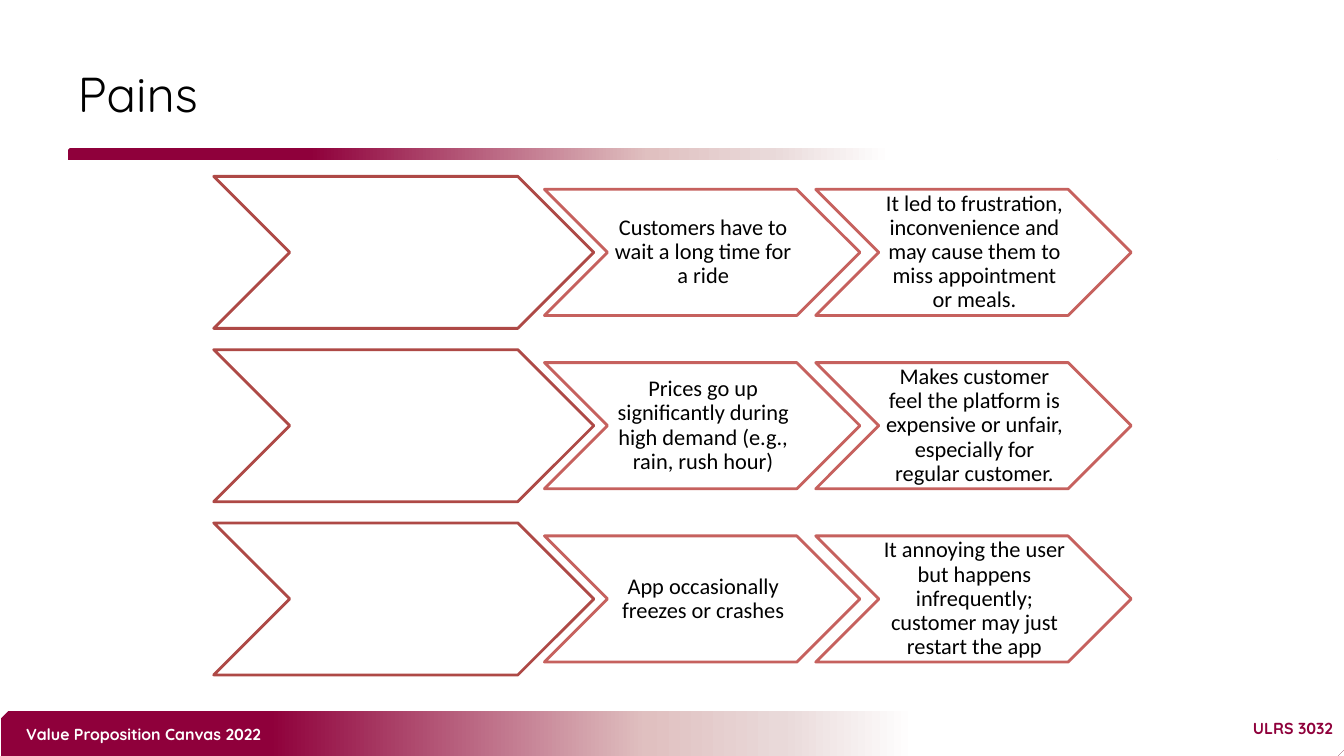
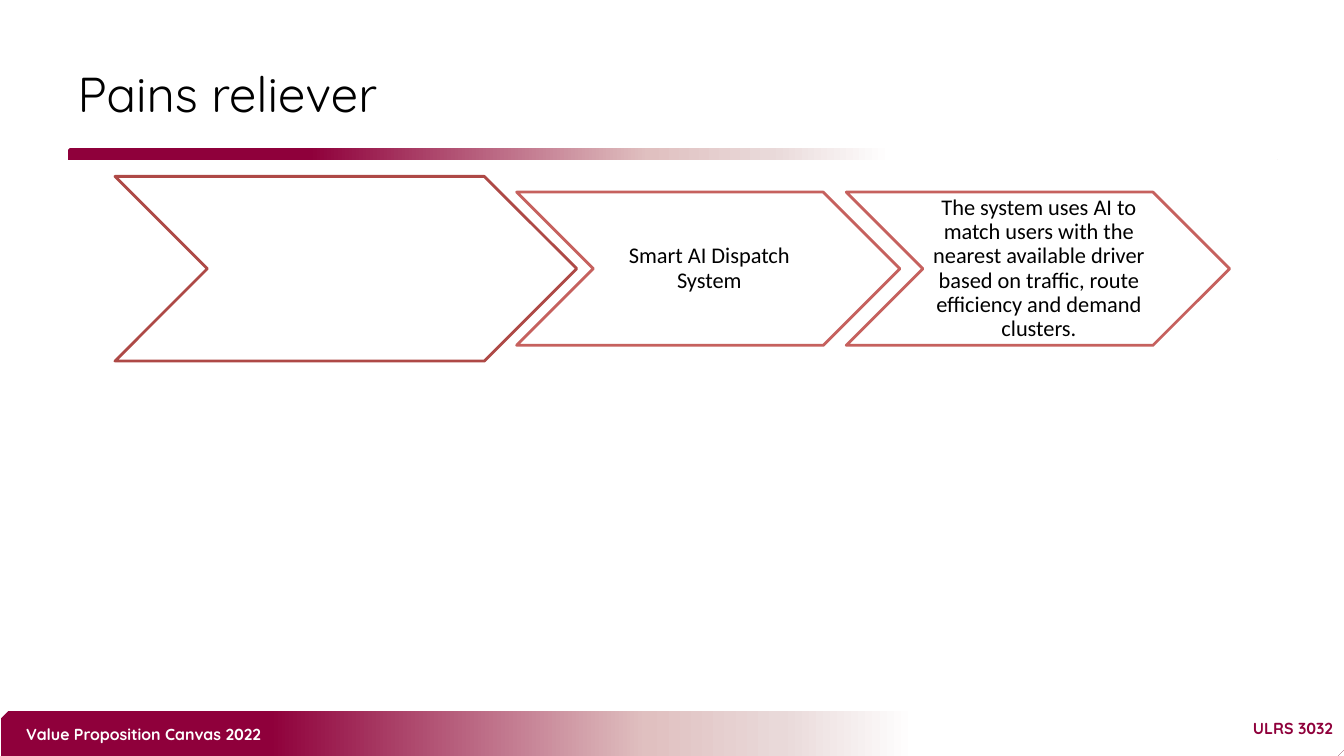
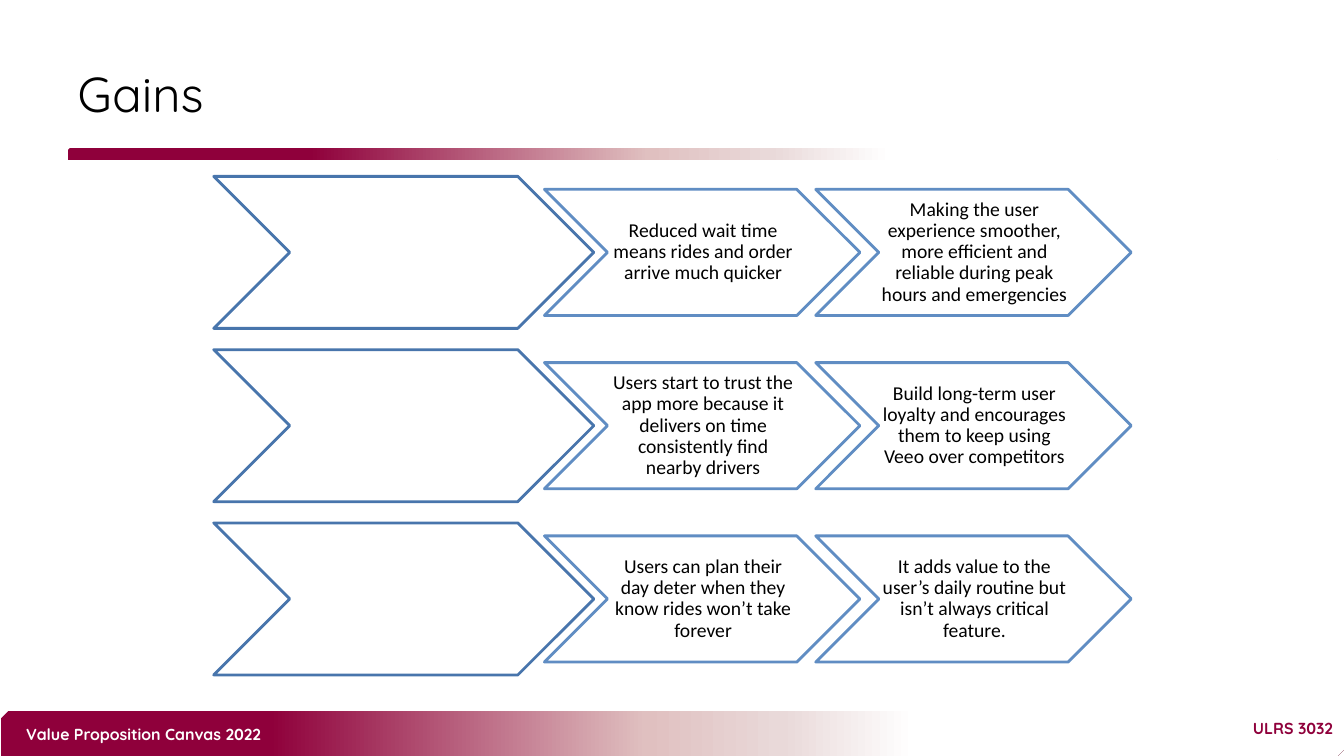
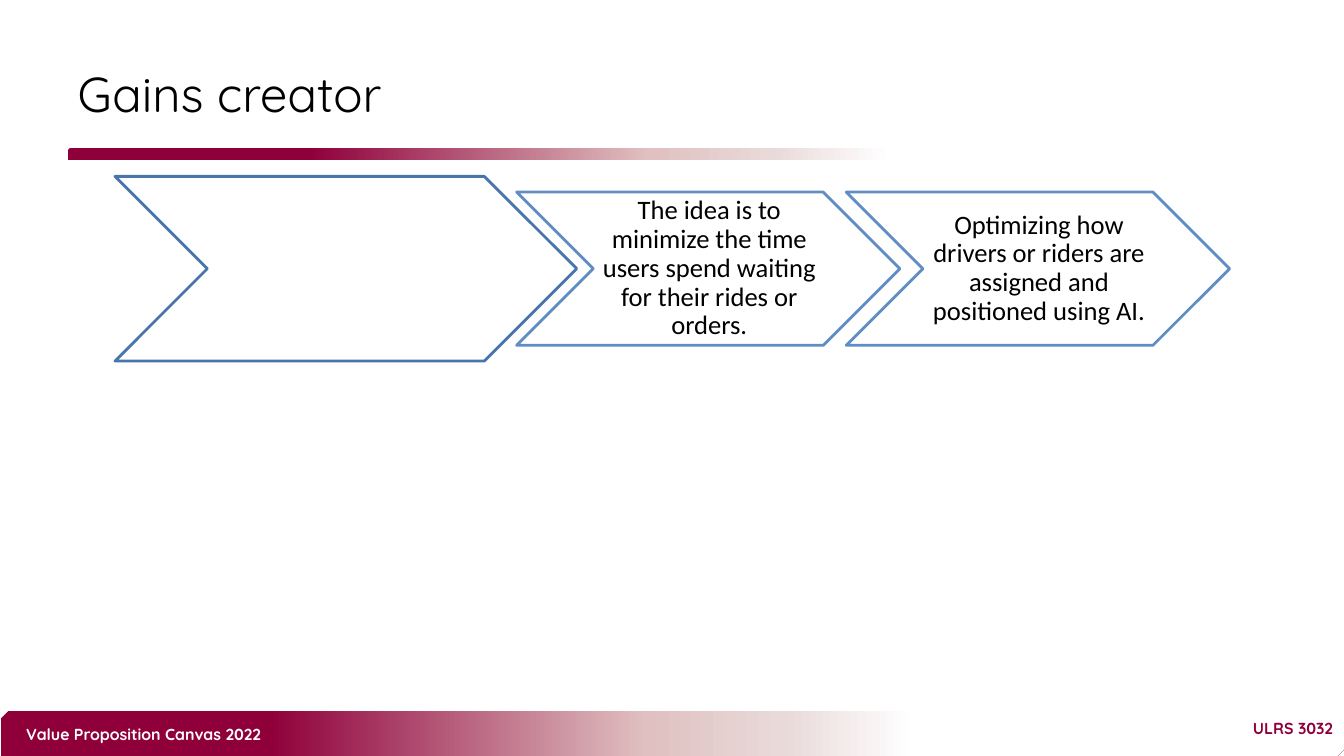
import pptx
import pptx.util
import pptx.dml.color
import pptx.enum.shapes
import pptx.enum.text
import pptx.oxml
import pptx.oxml.ns

Inches, Pt = pptx.util.Inches, pptx.util.Pt
RGB = pptx.dml.color.RGBColor
SHAPE = pptx.enum.shapes.MSO_SHAPE
ALIGN = pptx.enum.text.PP_ALIGN
ANCHOR = pptx.enum.text.MSO_ANCHOR

# Shared style
MAROON = RGB(0x8F, 0x00, 0x3B)
WHITE = RGB(0xFF, 0xFF, 0xFF)
BLACK = RGB(0x00, 0x00, 0x00)
RED, DARK_RED = RGB(0xC0, 0x50, 0x4D), RGB(0xAE, 0x49, 0x46)
BLUE, DARK_BLUE = RGB(0x4F, 0x81, 0xBD), RGB(0x48, 0x75, 0xAC)
FADE = [(20, MAROON), (48, RGB(0xE0, 0xC0, 0xC0)), (58, RGB(0xE9, 0xD9, 0xD9)),
        (68, WHITE), (95, WHITE)]
HEAD_FONT, BODY_FONT = "Quicksand", "Calibri"

# Chevron proportions
ROWS_TOP = 1.75
ASPECT = 0.4        # height to width
STEP_SCALE = 0.83   # step chevron to lead chevron
LEAD_OVERLAP = 0.13
STEP_OVERLAP = 0.14
ROW_PITCH = 1.14    # in lead heights

# Content
SLIDES = [
    dict(title="Pains", left=2.12, lead_width=3.77, size=16, colors=(DARK_RED, RED), rows=[
        ("Customers have to wait a long time for a ride",
         "It led to frustration, inconvenience and may cause them to miss appointment or meals."),
        ("Prices go up significantly during high demand (e.g., rain, rush hour)",
         "Makes customer feel the platform is expensive or unfair, especially for regular customer."),
        ("App occasionally freezes or crashes",
         "It annoying the user but happens infrequently; customer may just restart the app"),
    ]),
    dict(title="Pains reliever", left=1.14, lead_width=4.58, size=16, colors=(DARK_RED, RED), rows=[
        ("Smart AI Dispatch System",
         "The system uses AI to match users with the nearest available driver based on traffic, "
         "route efficiency and demand clusters."),
    ]),
    dict(title="Gains", left=2.12, lead_width=3.77, size=14, colors=(DARK_BLUE, BLUE), rows=[
        ("Reduced wait time means rides and order arrive much quicker",
         "Making the user experience smoother, more efficient and reliable during peak hours "
         "and emergencies"),
        ("Users start to trust the app more because it delivers on time consistently find "
         "nearby drivers",
         "Build long-term user loyalty and encourages them to keep using Veeo over competitors"),
        ("Users can plan their day deter when they know rides won’t take forever",
         "It adds value to the user’s daily routine but isn’t always critical feature."),
    ]),
    dict(title="Gains creator", left=1.14, lead_width=4.58, size=19, colors=(DARK_BLUE, BLUE), rows=[
        ("The idea is to minimize the time users spend waiting for their rides or orders.",
         "Optimizing how drivers or riders are assigned and positioned using AI."),
    ]),
]


def write(tf, text, size, font, color, align=ALIGN.LEFT, bold=False):
    p = tf.paragraphs[0]
    p.alignment = align
    r = p.add_run()
    r.text = text
    r.font.size, r.font.name, r.font.bold = Pt(size), font, bold
    r.font.color.rgb = color
    return p


def set_insets(tf, left, top, right, bottom):
    tf.margin_left, tf.margin_top = Inches(left), Inches(top)
    tf.margin_right, tf.margin_bottom = Inches(right), Inches(bottom)


def add_shape(s, kind, x, y, w, h):
    sp = s.shapes.add_shape(kind, Inches(x), Inches(y), Inches(w), Inches(h))
    sp.shadow.inherit = False
    return sp


def add_band(s, x, y, w, h):
    """Bar with snipped corners, fading from maroon to white."""
    sp = add_shape(s, SHAPE.SNIP_2_DIAG_RECTANGLE, x, y, w, h)
    sp.adjustments[0], sp.adjustments[1] = 0.17, 0
    sp.line.fill.background()
    stops = "".join(f'<a:gs pos="{pos * 1000}"><a:srgbClr val="{color}"/></a:gs>'
                    for pos, color in FADE)
    sp.fill.background()
    no_fill = sp._element.spPr.find(pptx.oxml.ns.qn("a:noFill"))
    no_fill.getparent().replace(no_fill, pptx.oxml.parse_xml(
        f'<a:gradFill {pptx.oxml.ns.nsdecls("a")} rotWithShape="1"><a:gsLst>{stops}</a:gsLst>'
        '<a:lin ang="0" scaled="0"/></a:gradFill>'))
    return sp


def add_label(s, x, y, w, h, text, color, align):
    sp = s.shapes.add_textbox(Inches(x), Inches(y), Inches(w), Inches(h))
    sp.text_frame.word_wrap = True
    write(sp.text_frame, text, 11.4, HEAD_FONT, color, align, bold=True)
    return sp


def furnish_layout(layout, s):
    """Place the title and move the bands and footers from s to its layout."""
    title = layout.placeholders[0]
    title.left, title.top = Inches(0.67), Inches(0.3)
    title.width, title.height = Inches(12), Inches(1.25)
    footer = [
        add_band(s, 0.67, 1.47, 12.01, 0.12),
        add_band(s, 0.01, 7.05, 13.33, 0.45),
        add_label(s, 9.35, 7.08, 3.97, 0.29, "ULRS 3032", MAROON, ALIGN.RIGHT),
        add_label(s, 0.18, 7.15, 2.7, 0.29, "Value Proposition Canvas 2022", WHITE, ALIGN.LEFT),
    ]
    set_insets(footer[-1].text_frame, 0.08, 0.04, 0.08, 0.04)
    for sp in footer:
        layout.shapes._spTree.append(sp._element)


def add_chevron(s, x, y, width, color):
    sp = add_shape(s, SHAPE.CHEVRON, x, y, width, width * ASPECT)
    sp.fill.solid()
    sp.fill.fore_color.rgb = WHITE
    sp.line.color.rgb = color
    sp.line.width = Pt(2)
    return sp


def set_alpha(sp, percent):
    for clr in sp._element.spPr.iter(pptx.oxml.ns.qn("a:srgbClr")):
        clr.append(pptx.oxml.parse_xml(
            f'<a:alpha {pptx.oxml.ns.nsdecls("a")} val="{percent * 1000}"/>'))


def add_row(s, left, top, lead_width, steps, size, colors):
    lead_color, step_color = colors
    add_chevron(s, left, top, lead_width, lead_color)
    step_width = lead_width * STEP_SCALE
    x = left + lead_width * (1 - LEAD_OVERLAP)
    y = top + (lead_width - step_width) * ASPECT / 2
    for text in steps:
        sp = add_chevron(s, x, y, step_width, step_color)
        set_alpha(sp, 90)
        tf = sp.text_frame
        tf.word_wrap = True
        tf.vertical_anchor = ANCHOR.MIDDLE
        set_insets(tf, 0.02, 0.01, 0, 0.01)
        p = write(tf, text, size, BODY_FONT, BLACK, ALIGN.CENTER)
        p.line_spacing = 0.9
        x += step_width * (1 - STEP_OVERLAP)


def main():
    prs = pptx.Presentation()
    prs.slide_width, prs.slide_height = Inches(13.33), Inches(7.5)
    layout = prs.slide_layouts[5]
    for number, content in enumerate(SLIDES):
        s = prs.slides.add_slide(layout)
        if number == 0:
            furnish_layout(layout, s)
        tf = s.shapes.title.text_frame
        tf.vertical_anchor = ANCHOR.MIDDLE
        write(tf, content["title"], 35, HEAD_FONT, BLACK)
        pitch = content["lead_width"] * ASPECT * ROW_PITCH
        for i, steps in enumerate(content["rows"]):
            add_row(s, content["left"], ROWS_TOP + i * pitch, content["lead_width"],
                    steps, content["size"], content["colors"])
    prs.save("out.pptx")


if __name__ == "__main__":
    main()
